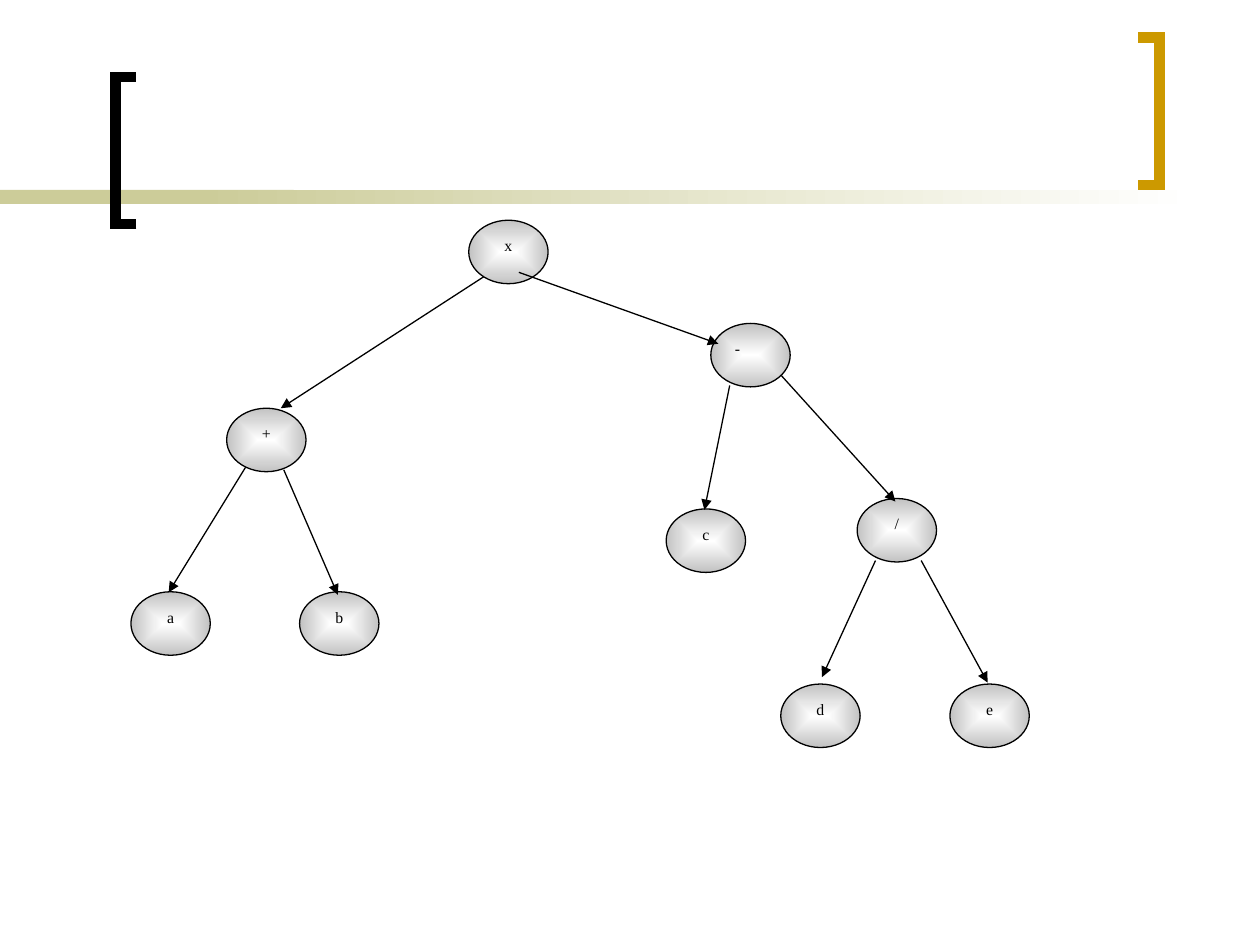
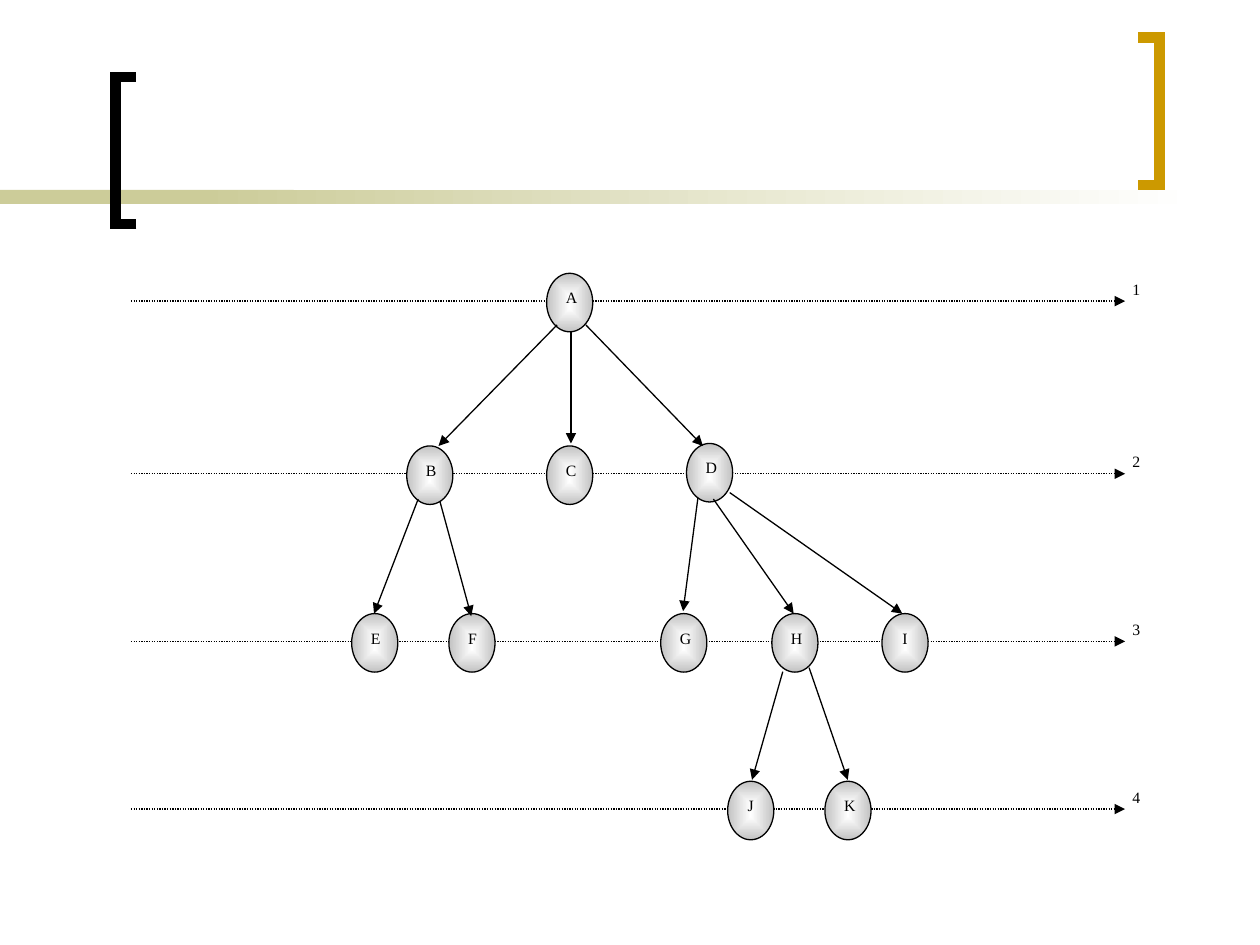
"""Draw an expression tree and a levelled tree on two framed slides."""
from typing import NamedTuple

import pptx
import pptx.dml.color
import pptx.enum.dml
import pptx.enum.shapes
import pptx.enum.text
import pptx.oxml.ns
import pptx.oxml.xmlchemy
import pptx.shapes.autoshape
import pptx.shapes.connector
import pptx.slide
import pptx.text.text
import pptx.util
from lxml import etree

Cm = pptx.util.Cm
Shape = pptx.shapes.autoshape.Shape
Slide = pptx.slide.Slide
Kind = pptx.enum.shapes.MSO_SHAPE
Align = pptx.enum.text.PP_ALIGN

BLACK, WHITE, GREY = "000000", "FFFFFF", "C2C2C2"
OLIVE, GOLD = "CCCC99", "CC9900"
FONT, SIZE, THIN, THICK = "Times New Roman", 9, 0.75, 6
BAND_TOP, BAND_HIGH = 3.83, 0.28
HOOK, REACH = 0.42, 2.97


class Node(NamedTuple):
    text: str
    left: float
    top: float
    align: Align = Align.CENTER


class Edge(NamedTuple):
    x1: float
    y1: float
    x2: float
    y2: float


class Bracket(NamedTuple):
    spine: float
    top: float
    hook: float
    color: str


BRACKETS = (Bracket(2.33, 1.55, HOOK, BLACK), Bracket(23.37, 0.76, -HOOK, GOLD))

MATH_SIZE = (1.6, 1.28)
MATH_NODES = (
    Node("x", 9.45, 4.44),
    Node("+", 4.57, 8.23),
    Node("-", 14.33, 6.52, Align.LEFT),
    Node("c", 13.43, 10.26),
    Node("/", 17.28, 10.05),
    Node("e", 19.15, 13.79),
    Node("d", 15.74, 13.79),
    Node("b", 6.04, 11.93),
    Node("a", 2.64, 11.93),
)
MATH_EDGES = (
    Edge(9.75, 5.58, 5.66, 8.23),
    Edge(10.46, 5.49, 14.48, 6.93),
    Edge(4.95, 9.42, 3.4, 11.94),
    Edge(14.71, 7.77, 14.2, 10.28),
    Edge(17.65, 11.3, 16.57, 13.65),
    Edge(5.72, 9.47, 6.81, 11.99),
    Edge(15.75, 7.57, 18.05, 10.11),
    Edge(18.57, 11.3, 19.91, 13.76),
)

LEVELS = (5.51, 8.99, 12.37, 15.75)
ONE, TWO, THREE, FOUR = LEVELS
LEVEL_SIZE = (0.93, 1.18)
LEVEL_NODES = (
    Node("A", 11.02, ONE),
    Node("C", 11.02, TWO),
    Node("B", 8.2, TWO),
    Node("D", 13.84, TWO - 0.05),
    Node("G", 13.32, THREE),
    Node("H", 15.56, THREE),
    Node("I", 17.78, THREE),
    Node("K", 16.63, FOUR),
    Node("J", 14.67, FOUR),
    Node("F", 9.05, THREE),
    Node("E", 7.09, THREE),
)
LEVEL_EDGES = (
    Edge(11.51, 6.68, 11.51, 8.94),
    Edge(11.23, 6.55, 8.84, 8.99),
    Edge(11.81, 6.55, 14.17, 8.99),
    Edge(8.43, 10.06, 7.54, 12.37),
    Edge(14.07, 10.03, 13.77, 12.32),
    Edge(15.78, 13.54, 15.16, 15.72),
    Edge(8.87, 10.11, 9.5, 12.42),
    Edge(14.38, 10.06, 16, 12.37),
    Edge(16.31, 13.46, 17.09, 15.72),
    Edge(14.71, 9.93, 18.19, 12.37),
)


def rgb(code: str) -> pptx.dml.color.RGBColor:
    return pptx.dml.color.RGBColor.from_string(code)


def child(parent: etree.ElementBase, tag: str, **attrs: str) -> etree.ElementBase:
    return etree.SubElement(parent, pptx.oxml.ns.qn(tag), attrs)


def add_form(slide: Slide, kind: Kind, left: float, top: float,
             wide: float, high: float) -> Shape:
    form = slide.shapes.add_shape(kind, Cm(left), Cm(top), Cm(wide), Cm(high))
    form.shadow.inherit = False
    return form


def blend(form: Shape, first: str, last: str) -> None:
    form.fill.gradient()
    form.fill.gradient_angle = 0
    for stop, code, place in zip(form.fill.gradient_stops, (first, last), (0, 1)):
        stop.color.rgb = rgb(code)
        stop.position = place


def write(frame: pptx.text.text.TextFrame, text: str, align: Align) -> None:
    frame.word_wrap = True
    frame.vertical_anchor = pptx.enum.text.MSO_ANCHOR.TOP
    para = frame.paragraphs[0]
    para.text = text
    para.alignment = align
    para.font.name = FONT
    para.font.size = pptx.util.Pt(SIZE)
    para.font.color.rgb = rgb(BLACK)


def add_frame(slide: Slide) -> None:
    plain = add_form(slide, Kind.RECTANGLE, 0, BAND_TOP, 5.92, BAND_HIGH)
    plain.fill.solid()
    plain.fill.fore_color.rgb = rgb(OLIVE)
    fade = add_form(slide, Kind.RECTANGLE, 4.01, BAND_TOP, 20.12, BAND_HIGH)
    blend(fade, OLIVE, WHITE)
    for band in (plain, fade):
        band.line.fill.background()
    for bracket in BRACKETS:
        add_bracket(slide, bracket)


def add_bracket(slide: Slide, item: Bracket) -> None:
    tip, base = item.spine + item.hook, item.top + REACH
    pen = slide.shapes.build_freeform(Cm(tip), Cm(base))
    bends = ((item.spine, base), (item.spine, item.top), (tip, item.top))
    pen.add_line_segments([(Cm(x), Cm(y)) for x, y in bends], close=False)
    form = pen.convert_to_shape()
    form.shadow.inherit = False
    form.fill.background()
    form.line.color.rgb = rgb(item.color)
    form.line.width = pptx.util.Pt(THICK)
    child(form.line._get_or_add_ln(), "a:miter", lim="800000")


def add_node(slide: Slide, node: Node, size: tuple[float, float]) -> None:
    form = add_form(slide, Kind.OVAL, node.left, node.top, *size)
    blend(form, WHITE, GREY)
    slant = form.element.find(".//" + pptx.oxml.ns.qn("a:lin"))
    grade = slant.getparent()
    grade.remove(slant)
    focus = child(grade, "a:path", path="rect")
    child(focus, "a:fillToRect", l="50000", t="50000", r="50000", b="50000")
    form.line.color.rgb = rgb(BLACK)
    form.line.width = pptx.util.Pt(THIN)
    write(form.text_frame, node.text, node.align)


def add_arrow(slide: Slide, edge: Edge, dotted: bool = False) -> None:
    ends = [Cm(value) for value in edge]
    arrow = slide.shapes.add_connector(
        pptx.enum.shapes.MSO_CONNECTOR.STRAIGHT, *ends)
    arrow.line.color.rgb = rgb(BLACK)
    arrow.line.width = pptx.util.Pt(THIN)
    if dotted:
        arrow.line.dash_style = pptx.enum.dml.MSO_LINE.ROUND_DOT
    props = arrow.element.spPr
    child(props.find(pptx.oxml.ns.qn("a:ln")), "a:tailEnd", type="triangle")
    child(props, "a:effectLst")


def add_level(slide: Slide, label: str, top: float) -> None:
    add_arrow(slide, Edge(2.64, top + 0.56, 22.68, top + 0.56), dotted=True)
    box = slide.shapes.add_textbox(Cm(22.58), Cm(top), Cm(1.35), Cm(1.12))
    write(box.text_frame, label, Align.LEFT)


def add_tree(slide: Slide, nodes: tuple[Node, ...], edges: tuple[Edge, ...],
             size: tuple[float, float]) -> None:
    for node in nodes:
        add_node(slide, node, size)
    for edge in edges:
        add_arrow(slide, edge)


def new_slide(deck: pptx.presentation.Presentation) -> Slide:
    slide = deck.slides.add_slide(deck.slide_layouts[6])
    add_frame(slide)
    return slide


def main() -> None:
    deck = pptx.Presentation()
    deck.slide_width, deck.slide_height = Cm(25.4), Cm(19.05)
    add_tree(new_slide(deck), MATH_NODES, MATH_EDGES, MATH_SIZE)
    slide = new_slide(deck)
    for index, top in enumerate(LEVELS, 1):
        add_level(slide, str(index), top)
    add_tree(slide, LEVEL_NODES, LEVEL_EDGES, LEVEL_SIZE)
    deck.save("out.pptx")


if __name__ == "__main__":
    main()
